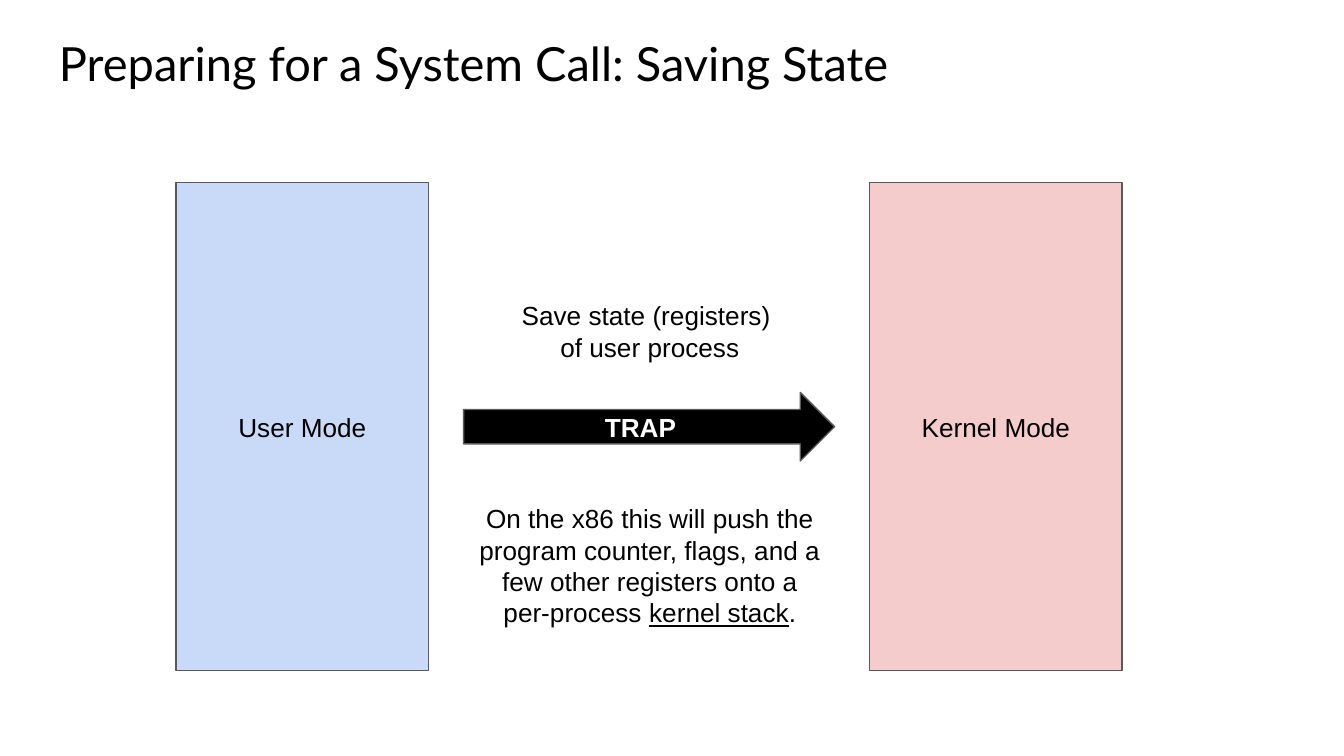
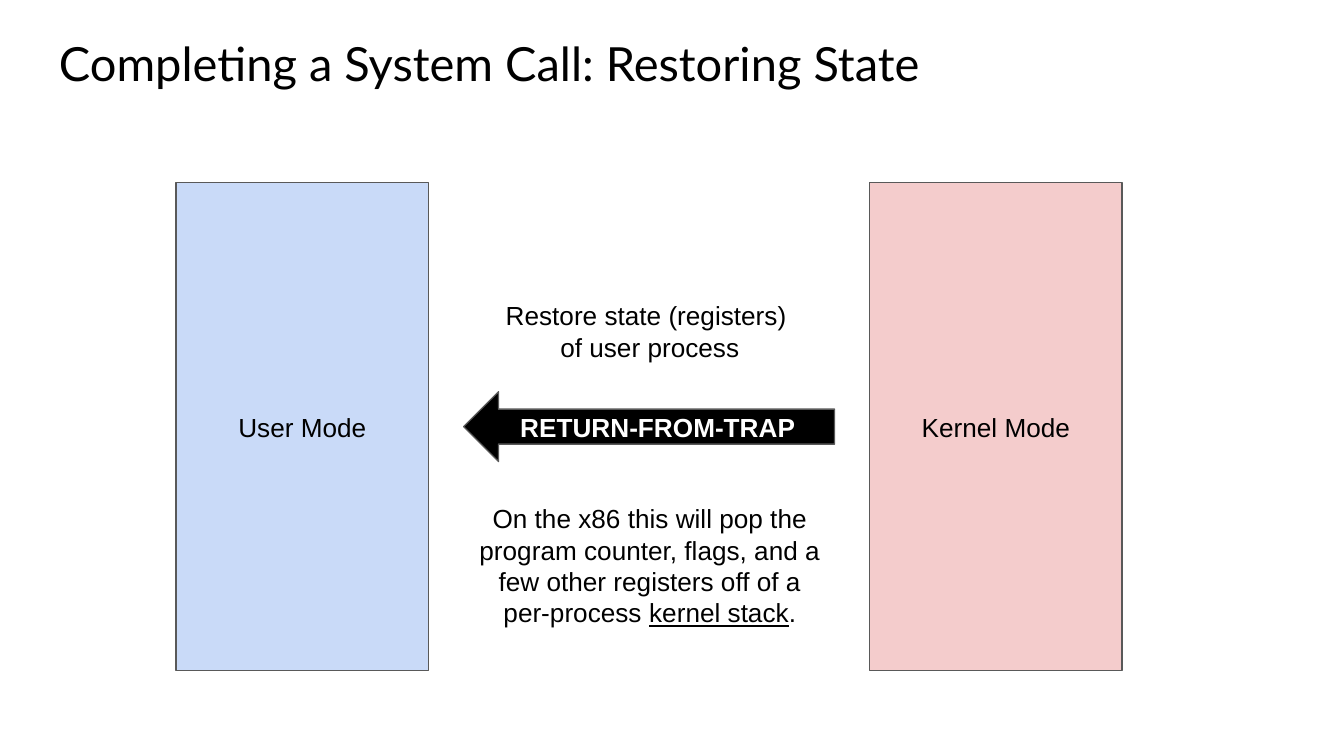
from pptx import Presentation
from pptx.dml.color import RGBColor
from pptx.enum.shapes import MSO_SHAPE
from pptx.enum.text import MSO_ANCHOR, PP_ALIGN
from pptx.util import Inches, Pt

RECTANGLE = MSO_SHAPE.RECTANGLE
TO_KERNEL, TO_USER = MSO_SHAPE.RIGHT_ARROW, MSO_SHAPE.LEFT_ARROW
TOP, MIDDLE = MSO_ANCHOR.TOP, MSO_ANCHOR.MIDDLE
LEFT, CENTER = PP_ALIGN.LEFT, PP_ALIGN.CENTER

COLORS = {"text": "000000", "user": "C9DAF8", "kernel": "F4CCCC",
          "arrow": "000000", "arrow_text": "FFFFFF", "outline": "595959"}
TITLE_FONT, BODY_FONT = "Lato", "Arial"
TITLE_SIZE, BODY_SIZE = 25.2, 14

WIDTH, HEIGHT = Inches(10), Inches(5.625)
COLUMN, ROW = WIDTH / 100, HEIGHT / 100

MODE_TOP, MODE_WIDTH, MODE_HEIGHT = 24.18, 18.8, 64.53
USER_LEFT, KERNEL_LEFT = 13.1, 64.7
ARROW_GAP = 2.6
ARROW_LEFT = USER_LEFT + MODE_WIDTH + ARROW_GAP
ARROW_WIDTH = KERNEL_LEFT - ARROW_GAP - ARROW_LEFT
MODE_CENTER = MODE_TOP + MODE_HEIGHT / 2
NOTE_LEFT, NOTE_WIDTH = 34.4, 27.9

STEPS = [
    {"title": "Preparing for a System Call: Saving State",
     "arrow": (TO_KERNEL, "TRAP", 9.07),
     "action": "Save state (registers) \nof user process",
     "detail": "On the x86 this will push the program counter, flags, "
               "and a few other registers onto a per-process "},
    {"title": "Completing a System Call: Restoring State",
     "arrow": (TO_USER, "RETURN-FROM-TRAP", 9.24),
     "action": "Restore state (registers) \nof user process",
     "detail": "On the x86 this will pop the program counter, flags, "
               "and a few other registers off of a per-process "},
]


def color(key):
    return RGBColor.from_string(COLORS[key])


def place(left, top, width, height):
    return (round(left * COLUMN), round(top * ROW),
            round(width * COLUMN), round(height * ROW))


def style_run(run, font=BODY_FONT, size=BODY_SIZE, ink="text", bold=False):
    run.font.name = font
    run.font.size = Pt(size)
    run.font.bold = bold
    run.font.color.rgb = color(ink)


def write(shape, text, align=CENTER, anchor=MIDDLE, **style):
    frame = shape.text_frame
    frame.word_wrap = True
    frame.vertical_anchor = anchor
    frame.margin_left = frame.margin_right = Inches(0.1)
    frame.margin_top = frame.margin_bottom = Inches(0.1)
    frame.text = text
    for paragraph in frame.paragraphs:
        paragraph.alignment = align
        for run in paragraph.runs:
            style_run(run, **style)
    return frame


def add_title(slide, text):
    title = slide.shapes.add_textbox(*place(3.4, 2.67, 93.2, 11.2))
    write(title, text, align=LEFT, font=TITLE_FONT, size=TITLE_SIZE)


def add_block(slide, kind, box, fill, text, **style):
    block = slide.shapes.add_shape(kind, *place(*box))
    block.shadow.inherit = False
    block.fill.solid()
    block.fill.fore_color.rgb = color(fill)
    block.line.color.rgb = color("outline")
    block.line.width = Pt(0.75)
    write(block, text, **style)


def add_mode(slide, left, fill, text):
    add_block(slide, RECTANGLE, (left, MODE_TOP, MODE_WIDTH, MODE_HEIGHT), fill, text)


def add_arrow(slide, direction, text, height):
    box = (ARROW_LEFT, MODE_CENTER - height / 2, ARROW_WIDTH, height)
    add_block(slide, direction, box, "arrow", text, ink="arrow_text", bold=True)


def add_note(slide, top, height, text):
    note = slide.shapes.add_textbox(*place(NOTE_LEFT, top, NOTE_WIDTH, height))
    return write(note, text, anchor=TOP)


def add_detail(slide, text):
    paragraph = add_note(slide, 64.71, 20.98, text).paragraphs[0]
    for ending, underlined in (("kernel stack", True), (".", False)):
        run = paragraph.add_run()
        run.text = ending
        style_run(run)
        run.font.underline = underlined


def add_step(deck, step):
    slide = deck.slides.add_slide(deck.slide_layouts[6])
    add_title(slide, step["title"])
    add_mode(slide, USER_LEFT, "user", "User Mode")
    add_mode(slide, KERNEL_LEFT, "kernel", "Kernel Mode")
    add_arrow(slide, *step["arrow"])
    add_note(slide, 37.87, 10.13, step["action"])
    add_detail(slide, step["detail"])


def main():
    deck = Presentation()
    deck.slide_width, deck.slide_height = WIDTH, HEIGHT
    for step in STEPS:
        add_step(deck, step)
    deck.save("out.pptx")


if __name__ == "__main__":
    main()
